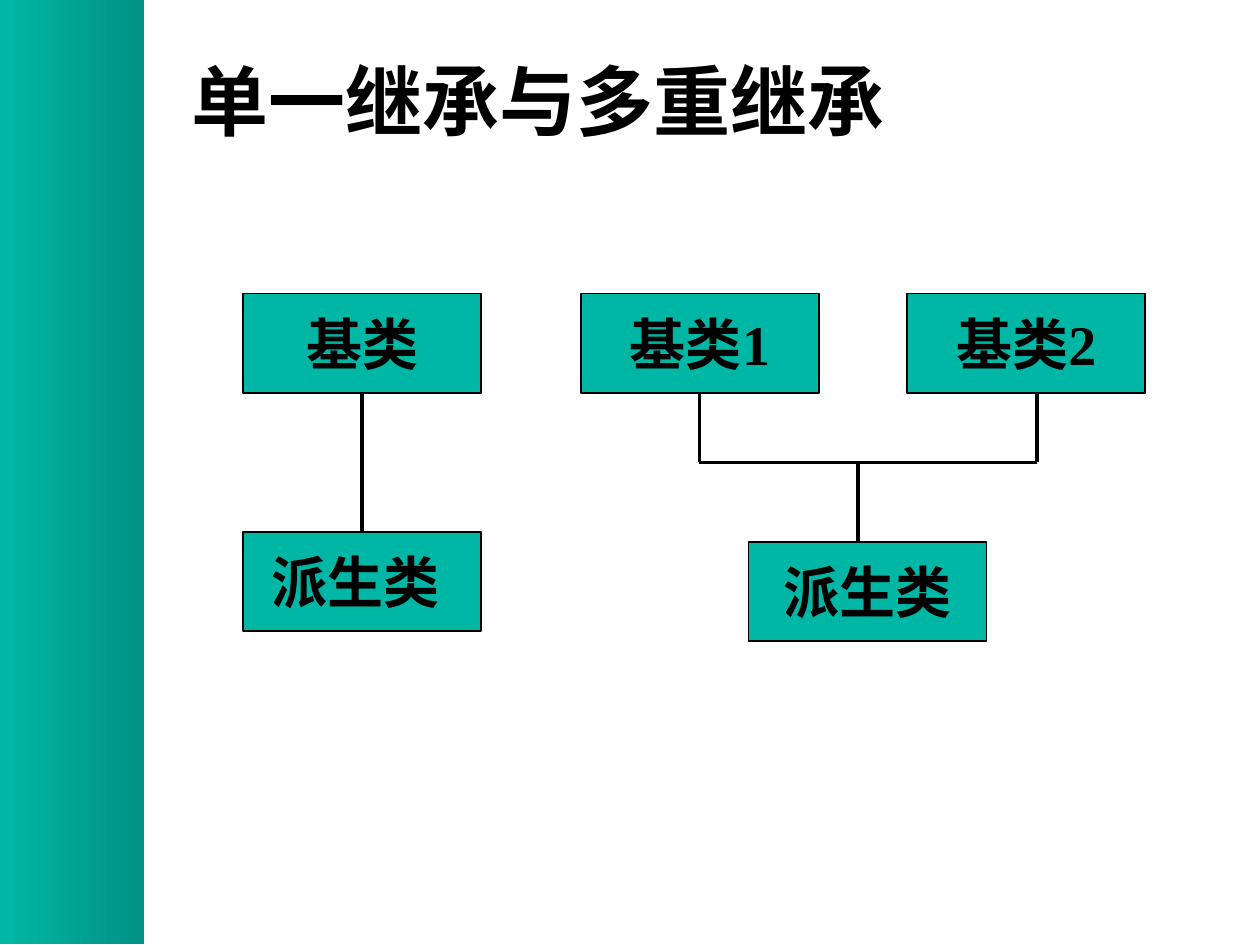
import pptx
import pptx.util
import pptx.dml.color
import pptx.enum.shapes
import pptx.enum.text
import pptx.oxml.ns
import lxml.etree
from dataclasses import dataclass

Inches = pptx.util.Inches
Pt = pptx.util.Pt
Align = pptx.enum.text.PP_ALIGN
Rect = pptx.enum.shapes.MSO_SHAPE.RECTANGLE
Straight = pptx.enum.shapes.MSO_CONNECTOR.STRAIGHT


@dataclass(frozen=True)
class Theme:
    ink: str = "000000"
    teal: str = "00B7A5"
    deep: str = "009284"
    font: str = "Times New Roman"
    head: int = 44
    label: int = 32


theme = Theme()
wide, high = 1.89, 0.79


def color(code):
    return pptx.dml.color.RGBColor.from_string(code)


def write(frame, text, size=theme.label, align=Align.CENTER, wrap=False):
    frame.word_wrap = wrap
    frame.auto_size = pptx.enum.text.MSO_AUTO_SIZE.NONE
    frame.vertical_anchor = pptx.enum.text.MSO_ANCHOR.MIDDLE
    para = frame.paragraphs[0]
    para.alignment = align
    run = para.add_run()
    run.text = text
    run.font.name = theme.font
    run.font.size = Pt(size)
    run.font.bold = True
    run.font.color.rgb = color(theme.ink)


def rect(slide, left, top, width, height):
    shape = slide.shapes.add_shape(
        Rect, Inches(left), Inches(top), Inches(width), Inches(height))
    shape.shadow.inherit = False
    return shape


def band(slide):
    shape = rect(slide, 0, 0, 1.14, 7.49)
    shape.line.fill.background()
    shape.fill.gradient()
    shape.fill.gradient_angle = 0
    for stop, place, code in zip(
            shape.fill.gradient_stops, (0, 1), (theme.teal, theme.deep)):
        stop.position = place
        stop.color.rgb = color(code)


def title(slide, text):
    shape = slide.shapes.title
    shape.left, shape.top = Inches(1.42), Inches(0.33)
    shape.width, shape.height = Inches(7.75), Inches(0.92)
    write(shape.text_frame, text, size=theme.head, align=Align.LEFT, wrap=True)


def box(slide, text, left, top):
    shape = rect(slide, left, top, wide, high)
    shape.fill.solid()
    shape.fill.fore_color.rgb = color(theme.teal)
    shape.line.color.rgb = color(theme.ink)
    shape.line.width = Pt(1)
    write(shape.text_frame, text)


def link(slide, *ends):
    line = slide.shapes.add_connector(Straight, *map(Inches, ends))
    line.line.color.rgb = color(theme.ink)
    line.line.width = Pt(2)
    props = line._element.spPr
    lxml.etree.SubElement(props, pptx.oxml.ns.qn("a:effectLst"))


def single(slide, left, top, low):
    box(slide, "基类", left, top)
    mid = left + wide / 2
    link(slide, mid, top + high, mid, low)
    box(slide, "派生类 ", left, low)


def multi(slide, top, low):
    box(slide, "基类1", 4.61, top)
    box(slide, "基类2", 7.2, top)
    start, end, stem, bar = 5.55, 8.23, 6.81, 3.67
    for x in (start, end):
        link(slide, x, top + high, x, bar)
    link(slide, start, bar, end, bar)
    link(slide, stem, bar, stem, low)
    box(slide, "派生类", 5.94, low)


def main():
    deck = pptx.Presentation()
    deck.slide_width, deck.slide_height = Inches(10), Inches(7.5)
    slide = deck.slides.add_slide(deck.slide_layouts[5])
    band(slide)
    title(slide, "单一继承与多重继承")
    single(slide, 1.93, 2.33, 4.22)
    multi(slide, 2.33, 4.3)
    deck.save("out.pptx")


if __name__ == "__main__":
    main()
